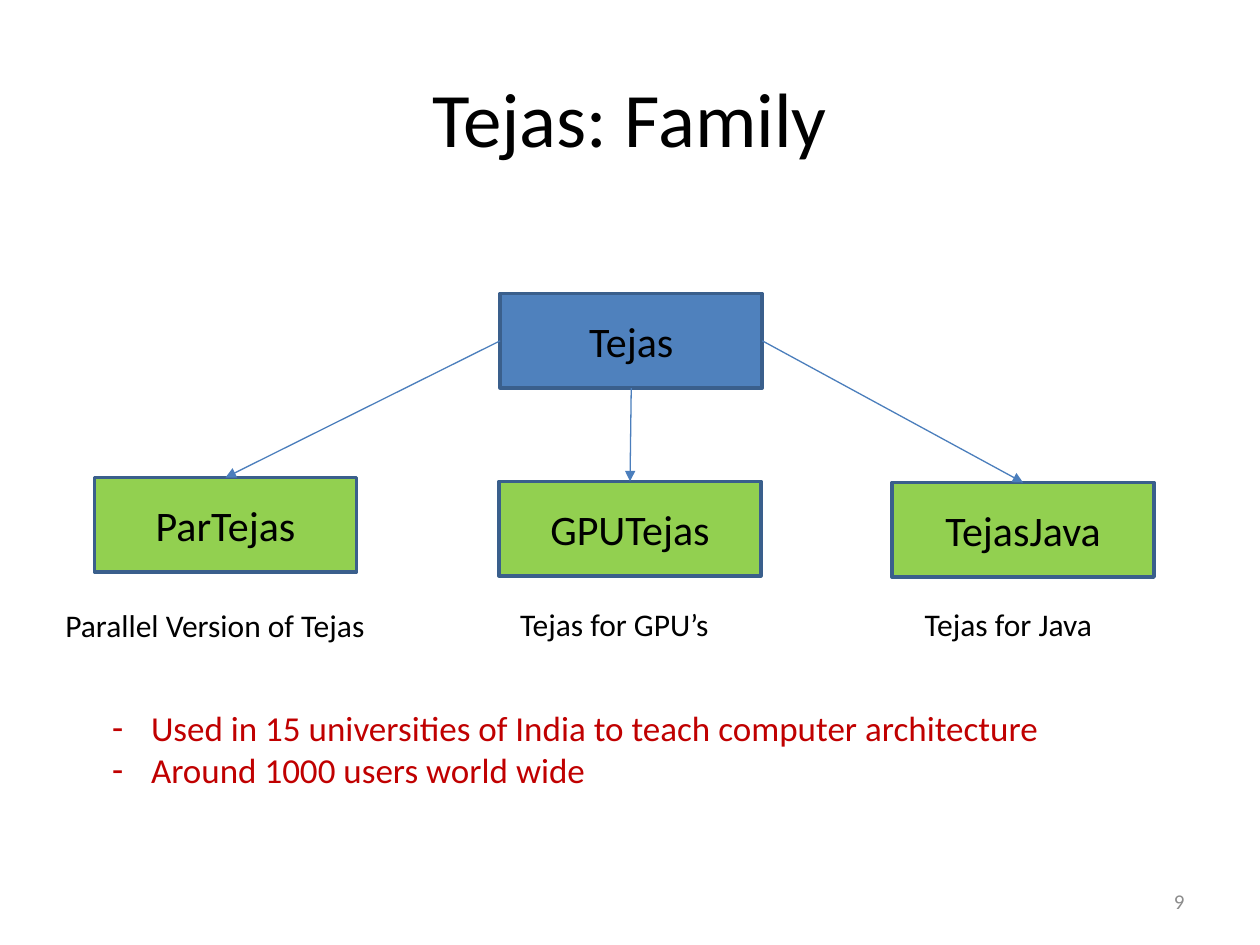
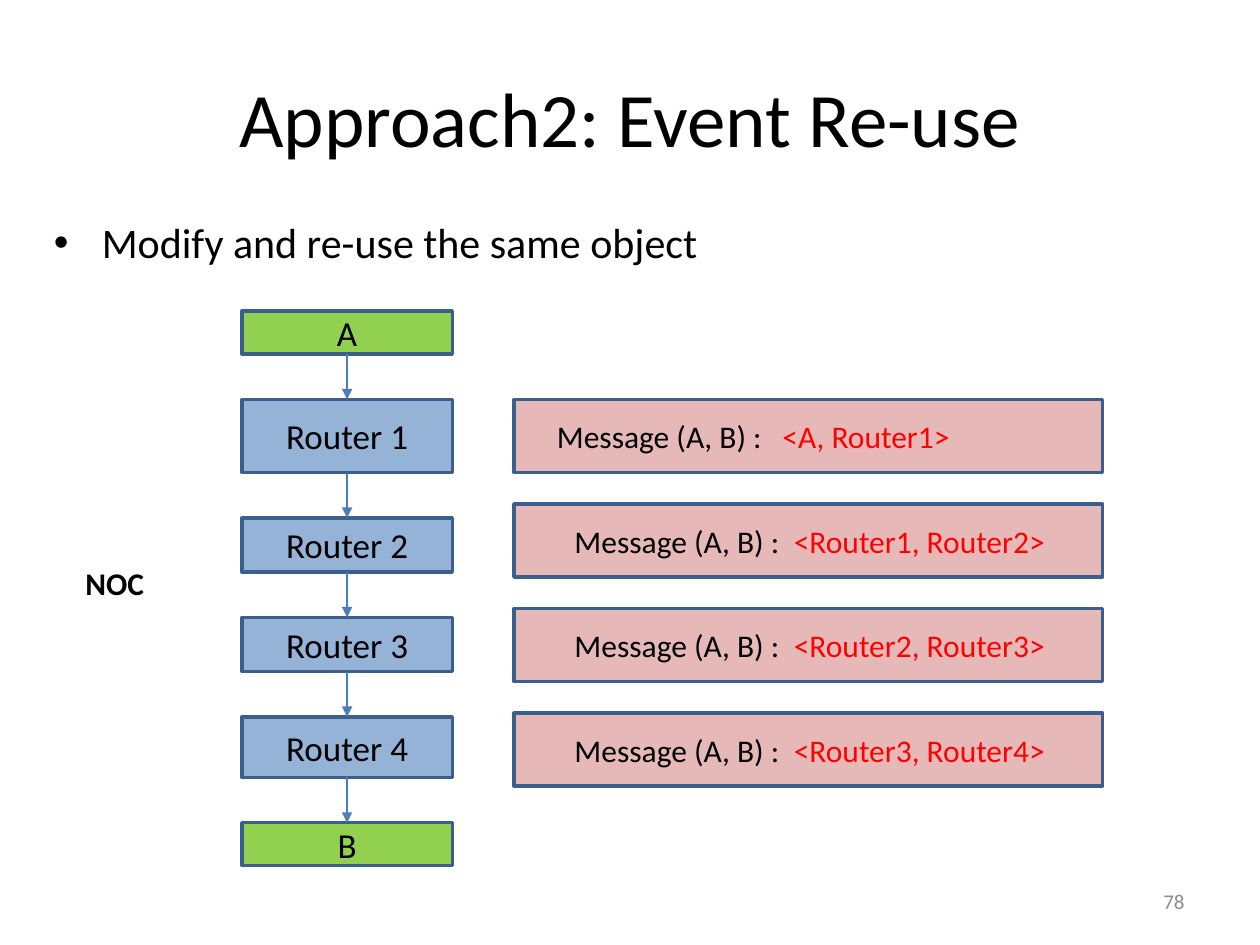
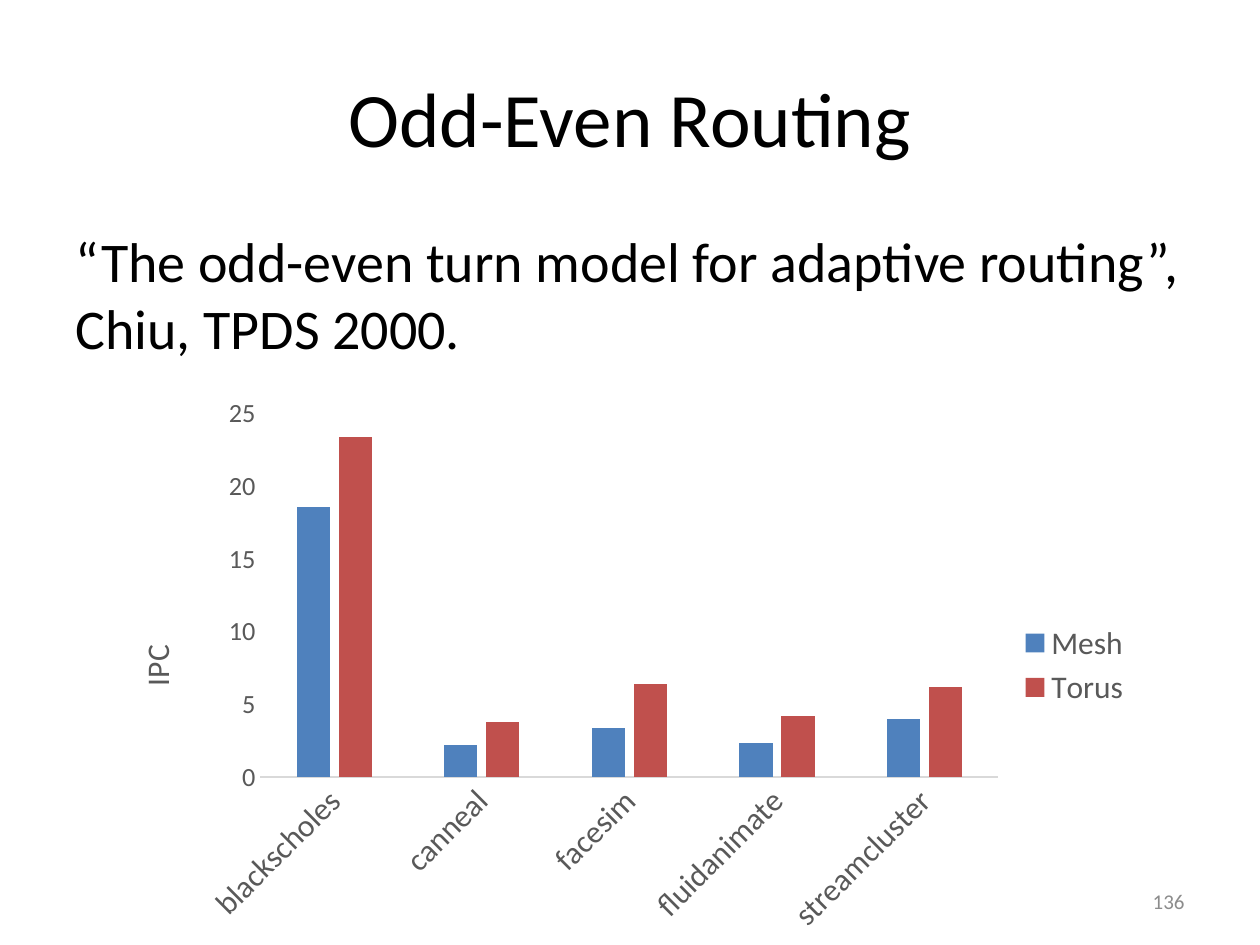
from dataclasses import dataclass
from itertools import pairwise

from pptx import Presentation
from pptx.chart.data import CategoryChartData
from pptx.dml.color import RGBColor
from pptx.enum.chart import XL_CHART_TYPE, XL_LEGEND_POSITION, XL_TICK_MARK
from pptx.enum.shapes import MSO_CONNECTOR, MSO_SHAPE
from pptx.enum.text import MSO_ANCHOR, PP_ALIGN
from pptx.oxml import parse_xml
from pptx.oxml.ns import nsdecls, qn
from pptx.util import Inches, Pt


@dataclass(frozen=True)
class Theme:
    font: str = "Calibri"
    ink: str = "000000"
    blue: str = "4F81BD"
    pale_blue: str = "95B3D7"
    green: str = "92D050"
    pink: str = "E6B9B8"
    brick: str = "C0504D"
    outline: str = "3A5F8C"
    arrow: str = "4B7EBC"
    claim: str = "C00000"
    hop: str = "FF0000"
    page_number: str = "8C8C8C"
    chart_text: str = "595959"
    chart_line: str = "D9D9D9"
    title_size: int = 44
    quote_size: int = 32
    large: int = 24
    medium: int = 20
    small: int = 18
    axis_size: int = 15
    page_size: int = 12


THEME = Theme()
TOP, LEFT, BOTTOM, RIGHT = range(4)


def rgb(color):
    return RGBColor.from_string(color)


def style_font(font, size, color, bold=False):
    font.name = THEME.font
    font.size = Pt(size)
    font.bold = bold
    font.color.rgb = rgb(color)


def add_run(paragraph, text, size, color=THEME.ink, bold=False):
    run = paragraph.add_run()
    run.text = text
    style_font(run.font, size, color, bold)


def add_bullet(paragraph, mark, indent):
    properties = paragraph._p.get_or_add_pPr()
    properties.set("marL", str(Inches(indent)))
    properties.set("indent", str(-Inches(indent)))
    properties.append(parse_xml(f'<a:buFont {nsdecls("a")} typeface="Arial"/>'))
    properties.append(parse_xml(f'<a:buChar {nsdecls("a")} char="{mark}"/>'))


def add_text(slide, box, lines, size, color=THEME.ink, bold=False, wrap=True,
             align=PP_ALIGN.LEFT, anchor=MSO_ANCHOR.TOP, bullet=None):
    """Add one paragraph per line; bullet is a (mark, indent) pair."""
    frame = slide.shapes.add_textbox(*map(Inches, box)).text_frame
    frame.word_wrap = wrap
    frame.vertical_anchor = anchor
    for index, line in enumerate(lines):
        paragraph = frame.add_paragraph() if index else frame.paragraphs[0]
        paragraph.alignment = align
        if bullet:
            add_bullet(paragraph, *bullet)
        add_run(paragraph, line, size, color, bold)


def add_block(slide, box, fill):
    block = slide.shapes.add_shape(MSO_SHAPE.RECTANGLE, *map(Inches, box))
    block.shadow.inherit = False
    block.fill.solid()
    block.fill.fore_color.rgb = rgb(fill)
    block.line.color.rgb = rgb(THEME.outline)
    block.line.width = Pt(2)
    block.text_frame.word_wrap = True
    block.text_frame.vertical_anchor = MSO_ANCHOR.MIDDLE
    return block


def add_node(slide, box, label, fill, size):
    node = add_block(slide, box, fill)
    paragraph = node.text_frame.paragraphs[0]
    paragraph.alignment = PP_ALIGN.CENTER
    add_run(paragraph, label, size)
    return node


def add_message(slide, box, hop, inset, hop_tab):
    """Add a message bar whose coloured hop starts at a tab stop."""
    frame = add_block(slide, box, THEME.pink).text_frame
    frame.margin_left = Inches(inset)
    paragraph = frame.paragraphs[0]
    paragraph.alignment = PP_ALIGN.LEFT
    paragraph._p.get_or_add_pPr().append(parse_xml(
        f'<a:tabLst {nsdecls("a")}><a:tab pos="{Inches(hop_tab)}" algn="l"/></a:tabLst>'))
    add_run(paragraph, "Message (A, B) :\t", THEME.small)
    add_run(paragraph, hop, THEME.small, THEME.hop)


def add_arrow(slide, source, source_side, target):
    arrow = slide.shapes.add_connector(MSO_CONNECTOR.STRAIGHT, 0, 0, 0, 0)
    arrow.begin_connect(source, source_side)
    arrow.end_connect(target, TOP)
    arrow.line.color.rgb = rgb(THEME.arrow)
    arrow.line.width = Pt(0.75)
    arrow.line._get_or_add_ln().append(
        parse_xml(f'<a:tailEnd {nsdecls("a")} type="triangle"/>'))
    arrow._element.spPr.append(parse_xml(f'<a:effectLst {nsdecls("a")}/>'))


def set_plot_layout(chart, **fractions):
    """Fix the inner plot area as fractions of the chart."""
    plot_area = chart.element.find(".//" + qn("c:plotArea"))
    for layout in plot_area.findall(qn("c:layout")):
        plot_area.remove(layout)
    places = "".join(f'<c:{key} val="{value}"/>' for key, value in fractions.items())
    plot_area.insert(0, parse_xml(
        f'<c:layout {nsdecls("c")}><c:manualLayout><c:layoutTarget val="inner"/>'
        f'<c:xMode val="edge"/><c:yMode val="edge"/>{places}'
        '</c:manualLayout></c:layout>'))


def add_ipc_chart(slide, box, benchmarks, topologies):
    """Add clustered columns; topologies maps a name to (values, colour)."""
    data = CategoryChartData()
    data.categories = benchmarks
    for name, (values, _) in topologies.items():
        data.add_series(name, values)
    chart = slide.shapes.add_chart(
        XL_CHART_TYPE.COLUMN_CLUSTERED, *map(Inches, box), data).chart
    chart.has_title = False
    style_font(chart.font, THEME.small, THEME.ink)

    plot = chart.plots[0]
    plot.vary_by_categories = False
    plot.gap_width = 219
    plot.overlap = -27
    for series, (_, color) in zip(plot.series, topologies.values()):
        series.format.fill.solid()
        series.format.fill.fore_color.rgb = rgb(color)

    benchmark_axis, ipc_axis = chart.category_axis, chart.value_axis
    for axis, size in ((benchmark_axis, THEME.small), (ipc_axis, THEME.axis_size)):
        axis.major_tick_mark = axis.minor_tick_mark = XL_TICK_MARK.NONE
        axis.has_major_gridlines = False
        style_font(axis.tick_labels.font, size, THEME.chart_text)
    benchmark_axis.format.line.color.rgb = rgb(THEME.chart_line)
    benchmark_axis.format.line.width = Pt(0.75)
    for label_body in chart.element.xpath(".//c:catAx/c:txPr/a:bodyPr"):
        label_body.set("rot", "-2700000")
    ipc_axis.format.line.fill.background()
    ipc_axis.minimum_scale, ipc_axis.maximum_scale, ipc_axis.major_unit = 0, 25, 5
    add_run(ipc_axis.axis_title.text_frame.paragraphs[0], "IPC",
            THEME.small, THEME.chart_text)

    chart.has_legend = True
    chart.legend.position = XL_LEGEND_POSITION.RIGHT
    chart.legend.include_in_layout = False
    style_font(chart.legend.font, THEME.small, THEME.chart_text)
    set_plot_layout(chart, x=0.15, y=0.05, w=0.71, h=0.65)


def start_slide(deck, title, number):
    slide = deck.slides.add_slide(deck.slide_layouts[6])
    add_text(slide, (0.5, 0.3, 9, 1.25), [title], THEME.title_size,
             align=PP_ALIGN.CENTER, anchor=MSO_ANCHOR.MIDDLE)
    add_text(slide, (7.17, 6.95, 2.33, 0.4), [str(number)], THEME.page_size,
             THEME.page_number, align=PP_ALIGN.RIGHT, anchor=MSO_ANCHOR.MIDDLE)
    return slide


def build_family(deck):
    slide = start_slide(deck, "Tejas: Family", 9)
    width, height = 2.08, 0.75
    parent = add_node(slide, (3.97, 2.33, width, height), "Tejas", THEME.blue, THEME.large)
    members = (
        ("ParTejas", 0.75, 3.79, LEFT, "Parallel Version of Tejas", (0.42, 4.76, 2.91, 0.4)),
        ("GPUTejas", 3.96, 3.82, BOTTOM, "Tejas for GPU’s", (4.03, 4.75, 1.93, 0.4)),
        ("TejasJava", 7.08, 3.83, RIGHT, "Tejas for Java", (7.24, 4.75, 1.75, 0.4)),
    )
    for name, left, top, side, caption, caption_box in members:
        member = add_node(slide, (left, top, width, height), name, THEME.green, THEME.large)
        add_arrow(slide, parent, side, member)
        add_text(slide, caption_box, [caption], THEME.small, wrap=False)
    add_text(slide, (0.79, 5.56, 8.42, 0.77),
             ["Used in 15 universities of India to teach computer architecture",
              "Around 1000 users world wide"],
             THEME.medium, THEME.claim, bullet=("-", 0.31))


def build_event_reuse(deck):
    slide = start_slide(deck, "Approach2: Event Re-use", 78)
    add_text(slide, (0.33, 1.67, 9.3, 0.8), ["Modify and re-use the same object"],
             THEME.large, bullet=("•", 0.38))
    add_text(slide, (0.58, 4.43, 0.8, 0.4), ["NOC"], THEME.small, bold=True, wrap=False)

    stops = (("A", 0.34), ("Router 1", 0.58), ("Router 2", 0.43),
             ("Router 3", 0.43), ("Router 4", 0.48), ("B", 0.34))
    top, gap, route = 2.47, 0.36, []
    for label, height in stops:
        fill = THEME.pale_blue if label.startswith("Router") else THEME.green
        route.append(add_node(slide, (1.92, top, 1.67, height), label, fill, THEME.medium))
        top += height + gap
    for source, target in pairwise(route):
        add_arrow(slide, source, BOTTOM, target)

    hops = pairwise(("A", "Router1", "Router2", "Router3", "Router4"))
    for row, (sender, receiver) in enumerate(hops):
        inset, hop_tab = (0.48, 1.74) if row else (0.34, 1.79)
        add_message(slide, (4.08, 3.17 + row * 0.83, 4.67, 0.58),
                    f"<{sender}, {receiver}>", inset, hop_tab)


def build_routing(deck):
    slide = start_slide(deck, "Odd-Even Routing", 136)
    add_text(slide, (0.5, 1.75, 9, 4.95),
             ["“The odd-even turn model for adaptive routing”, Chiu, TPDS 2000."],
             THEME.quote_size)
    add_ipc_chart(
        slide, (0.83, 3.06, 8.25, 4.44),
        ("blackscholes", "canneal", "facesim", "fluidanimate", "streamcluster"),
        {"Mesh": ((18.6, 2.2, 3.4, 2.3, 4), THEME.blue),
         "Torus": ((23.4, 3.8, 6.4, 4.2, 6.2), THEME.brick)})


def main():
    deck = Presentation()
    deck.slide_width, deck.slide_height = Inches(10), Inches(7.5)
    build_family(deck)
    build_event_reuse(deck)
    build_routing(deck)
    deck.save("out.pptx")


if __name__ == "__main__":
    main()
